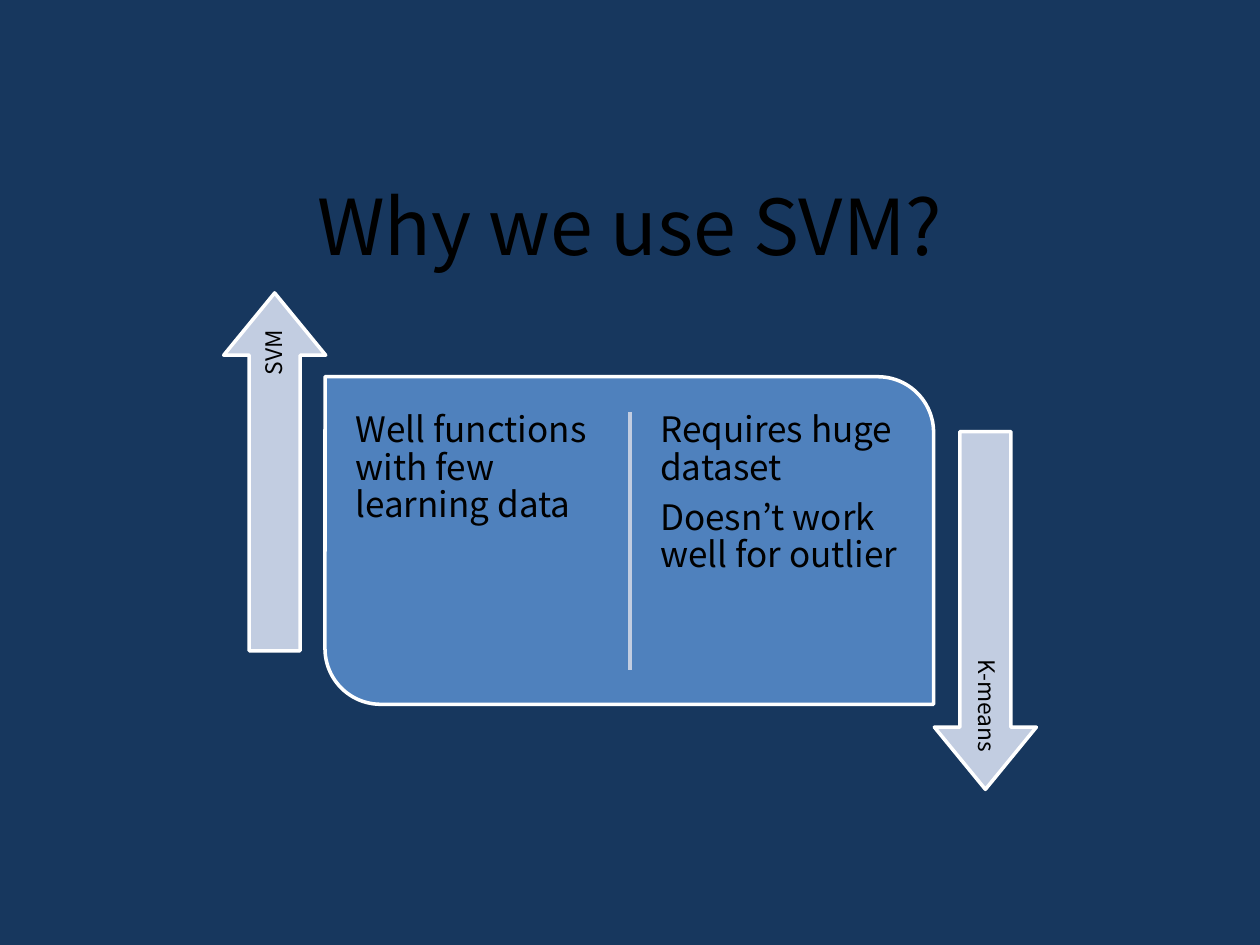
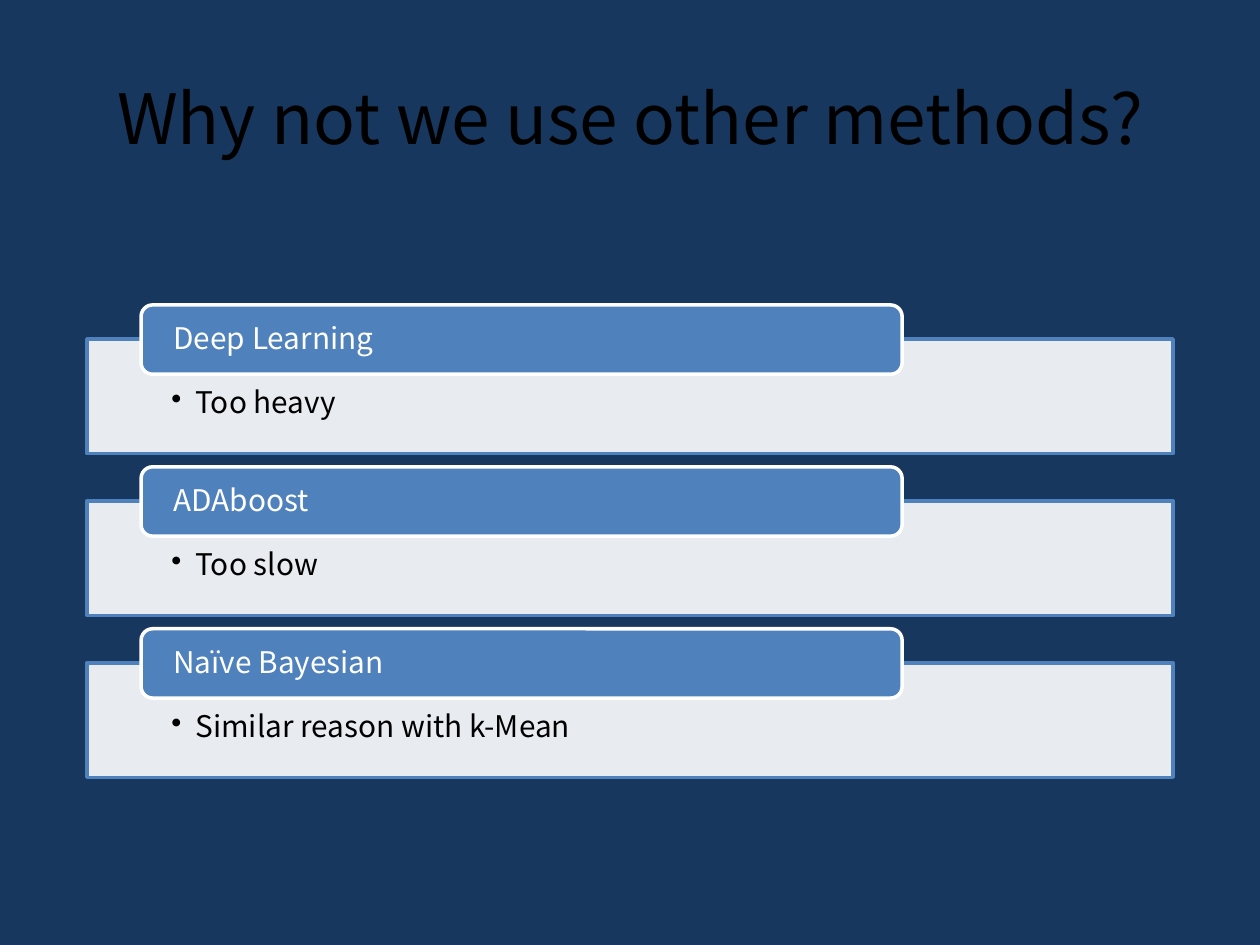
from dataclasses import dataclass

from lxml import etree
from pptx import Presentation, util as u
from pptx.dml.color import RGBColor
from pptx.enum import shapes, text
from pptx.oxml.ns import qn

COLS, ROWS = 10, 7.5
WIDE, HIGH = u.Inches(10), u.Inches(7.5)
KIND, ALIGN, ANCHOR = shapes.MSO_SHAPE, text.PP_ALIGN, text.MSO_ANCHOR


@dataclass(frozen=True)
class Theme:
    font: str = "Noto Sans CJK KR"
    back: str = "17375E"
    blue: str = "4F81BD"
    pale: str = "C2CDE1"
    white: str = "FFFFFF"
    black: str = "000000"
    head: float = 44
    small_head: float = 39.6
    body: float = 20
    item: float = 17
    label: float = 13
    line: float = 2


T = Theme()


# Grid and colour
def cell(left, top, width, height):
    """Turn grid columns and rows into slide lengths."""
    col, row = WIDE / COLS, HIGH / ROWS
    return [u.Emu(round(n)) for n in
            (left * col, top * row, width * col, height * row)]


def rgb(code):
    return RGBColor.from_string(code)


# Text
def write(frame, lines, size, color=T.black, align=ALIGN.LEFT,
          anchor=ANCHOR.TOP, pads=(0.08,) * 4, after=0.35, space=0.9):
    frame.text = "\n".join(lines)
    frame.word_wrap = True
    frame.auto_size = text.MSO_AUTO_SIZE.NONE
    frame.vertical_anchor = anchor
    (frame.margin_left, frame.margin_top,
     frame.margin_right, frame.margin_bottom) = map(u.Inches, pads)
    for para in frame.paragraphs:
        para.alignment = align
        para.line_spacing = space
        para.space_after = u.Pt(round(size * after, 1))
        for run in para.runs:
            run.font.name = T.font
            run.font.size = u.Pt(size)
            run.font.color.rgb = rgb(color)


def bullet(para, indent):
    props = para._p.get_or_add_pPr()
    props.set("marL", str(u.Inches(indent)))
    props.set("indent", str(-u.Inches(indent)))
    etree.SubElement(props, qn("a:buChar"), char="•")


# Shapes
def draw(slide, kind, area, fill, line):
    shape = slide.shapes.add_shape(kind, *cell(*area))
    shape.shadow.inherit = False
    shape.fill.solid()
    shape.fill.fore_color.rgb = rgb(fill)
    shape.line.color.rgb = rgb(line)
    shape.line.width = u.Pt(T.line)
    return shape


def fade(shape, share):
    color = shape._element.spPr.find(qn("a:solidFill"))[0]
    etree.SubElement(color, qn("a:alpha"), val=str(share * 1000))


def rule(slide, x, top, end):
    left, start, _, stop = cell(x, top, 0, end)
    line = slide.shapes.add_connector(
        shapes.MSO_CONNECTOR.STRAIGHT, left, start, left, stop)
    line.line.color.rgb = rgb(T.pale)
    line.line.width = u.Pt(T.line)
    etree.SubElement(line._element.spPr, qn("a:effectLst"))


def note(slide, area, lines):
    box = slide.shapes.add_textbox(*cell(*area))
    write(box.text_frame, lines, T.body)


def arrow(slide, left, top, turn, label):
    shape = draw(slide, KIND.RIGHT_ARROW, (left, top, 2.84, 0.81),
                 T.pale, T.white)
    shape.adjustments[0] = 0.5
    shape.adjustments[1] = 0.61
    shape.rotation = turn
    write(shape.text_frame, [label], T.label, align=ALIGN.RIGHT,
          anchor=ANCHOR.MIDDLE, pads=(0.05,) * 4)


def entry(slide, top, name, reason):
    """Draw a pale band with a name tab over its upper edge."""
    band = draw(slide, KIND.RECTANGLE, (0.69, top, 8.62, 0.91),
                T.white, T.blue)
    fade(band, 90)
    write(band.text_frame, [reason], T.item,
          pads=(0.67, 0.39, 0.67, 0.13), after=0.15)
    bullet(band.text_frame.paragraphs[0], 0.19)
    tab = draw(slide, KIND.ROUNDED_RECTANGLE, (1.12, top - 0.27, 6.04, 0.55),
               T.blue, T.white)
    write(tab.text_frame, [name], T.item, T.white,
          anchor=ANCHOR.MIDDLE, pads=(0.23, 0, 0.23, 0))


# Slides
def begin(deck, title, area, size):
    slide = deck.slides.add_slide(deck.slide_layouts[5])
    slide.background.fill.solid()
    slide.background.fill.fore_color.rgb = rgb(T.back)
    head = slide.shapes.title
    head.left, head.top, head.width, head.height = cell(*area)
    write(head.text_frame, [title], size, align=ALIGN.CENTER,
          anchor=ANCHOR.MIDDLE, pads=(0.1, 0.05, 0.1, 0.05),
          after=0, space=1.0)
    return slide


def compare(deck):
    slide = begin(deck, "Why we use SVM?", (0.69, 1.24, 8.62, 1.09), T.head)
    panel = draw(slide, KIND.ROUND_2_DIAG_RECTANGLE, (2.58, 2.99, 4.83, 2.6),
                 T.blue, T.white)
    panel.adjustments[0] = 0
    panel.adjustments[1] = 0.17
    rule(slide, COLS / 2, 3.27, 5.32)
    sides = (["Well functions with few learning data"],
             ["Requires huge dataset", "Doesn’t work well for outlier"])
    for i, lines in enumerate(sides):
        note(slide, (2.74 + i * 2.42, 3.19, 2.09, 2.21), lines)
    arrow(slide, 0.76, 3.34, 270, "SVM")
    arrow(slide, 6.4, 4.44, 90, "K-means")


def reasons(deck):
    slide = begin(deck, "Why not we use other methods?",
                  (0.5, 0.3, 9, 1.25), T.small_head)
    items = (("Deep Learning", "Too heavy"),
             ("ADAboost", "Too slow"),
             ("Naïve Bayesian", "Similar reason with k-Mean"))
    first, last = 2.69, 5.26
    step = (last - first) / (len(items) - 1)
    for i, (name, reason) in enumerate(items):
        entry(slide, first + i * step, name, reason)


def main():
    deck = Presentation()
    deck.slide_width, deck.slide_height = WIDE, HIGH
    compare(deck)
    reasons(deck)
    deck.save("out.pptx")


if __name__ == "__main__":
    main()
